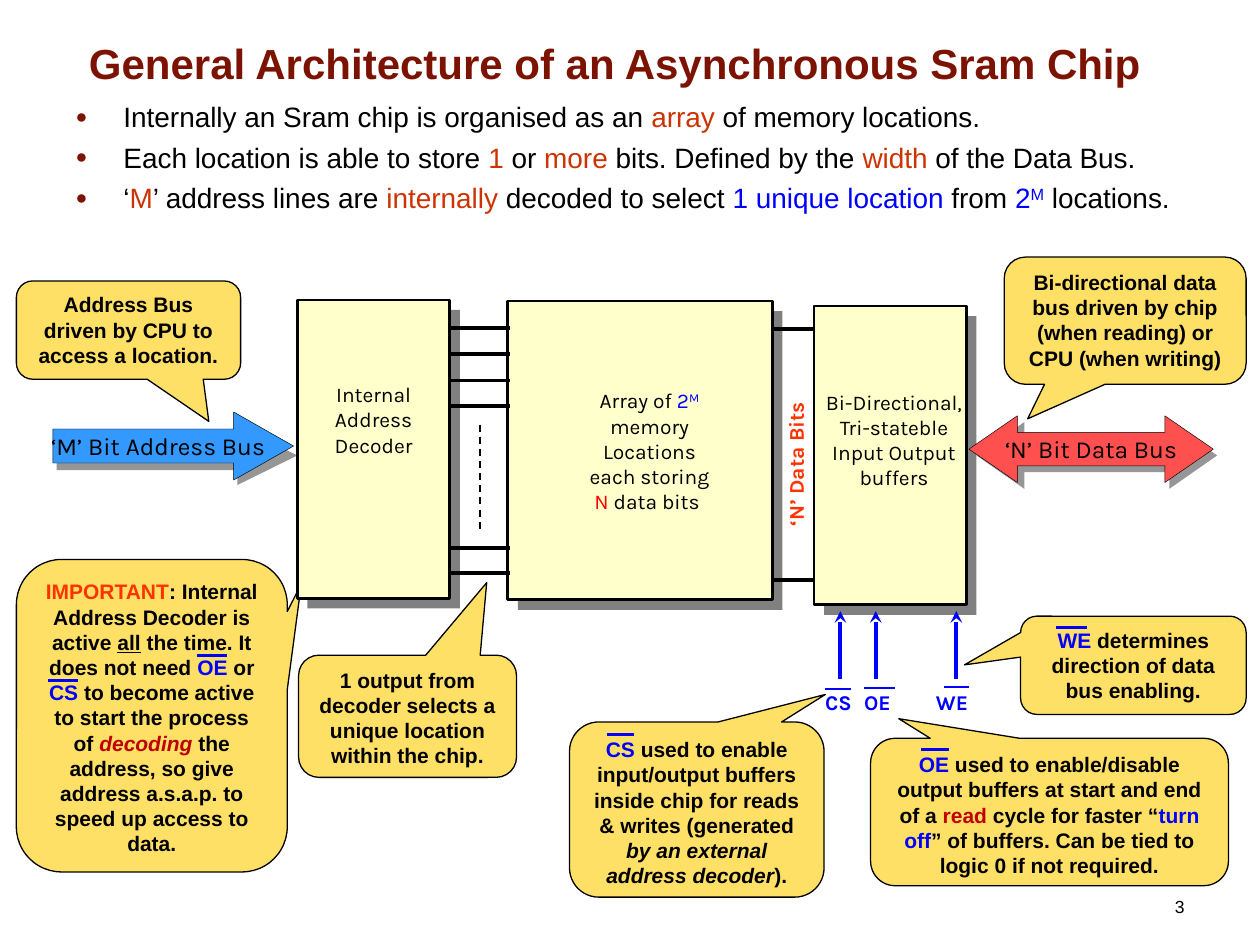
from lxml import etree
from pptx import Presentation
from pptx.dml.color import RGBColor
from pptx.enum.dml import MSO_LINE
from pptx.enum.shapes import MSO_CONNECTOR, MSO_SHAPE
from pptx.enum.text import MSO_ANCHOR, MSO_AUTO_SIZE, PP_ALIGN
from pptx.oxml.ns import qn
from pptx.util import Inches, Pt

STRAIGHT = MSO_CONNECTOR.STRAIGHT
DASH = MSO_LINE.DASH
RECTANGLE = MSO_SHAPE.RECTANGLE
CALLOUT = MSO_SHAPE.ROUNDED_RECTANGULAR_CALLOUT
RIGHT_ARROW = MSO_SHAPE.RIGHT_ARROW
DOUBLE_ARROW = MSO_SHAPE.LEFT_RIGHT_ARROW
TOP, MIDDLE, BOTTOM = MSO_ANCHOR.TOP, MSO_ANCHOR.MIDDLE, MSO_ANCHOR.BOTTOM
LEFT, CENTER, RIGHT = PP_ALIGN.LEFT, PP_ALIGN.CENTER, PP_ALIGN.RIGHT
NO_FIT, GROW = MSO_AUTO_SIZE.NONE, MSO_AUTO_SIZE.SHAPE_TO_FIT_TEXT

COLORS = {
    "black": "000000", "maroon": "7C1302", "rust": "CC3300", "blue": "0000FF",
    "orange": "FF3300", "crimson": "C00000", "red": "FF0000", "gold": "FFCC00",
    "cream": "FFFFCC", "box shadow": "808080", "arrow shadow": "969696",
    "address": "3399FF", "data": "FF5050",
}


def span(text, **text_format):
    return text, text_format


class SlideBuilder:
    heading_font = "Arial"
    diagram_font = "Karla"

    def __init__(self, slide):
        self.slide = slide

    def color(self, name):
        return RGBColor.from_string(COLORS[name])

    def add_run(self, paragraph, text, font="Arial", size=12, color="black",
                bold=False, italic=False, underline=False, baseline=0):
        for index, line in enumerate(text.split("\n")):
            if index:
                paragraph.add_line_break()
            run = paragraph.add_run()
            run.text = line
            run.font.name = font
            run.font.size = Pt(size)
            run.font.bold = bold
            run.font.italic = italic
            run.font.underline = underline
            run.font.color.rgb = self.color(color)
            if baseline:
                run.font._element.set("baseline", str(baseline * 1000))

    def set_text(self, paragraph, spans, align=CENTER, before=0, **base):
        paragraph.alignment = align
        paragraph.space_before = Pt(before)
        for item in spans:
            text, text_format = span(item) if isinstance(item, str) else item
            self.add_run(paragraph, text, **{**base, **text_format})

    def place(self, shape, left, top, width, height):
        shape.left, shape.top = Inches(left), Inches(top)
        shape.width, shape.height = Inches(width), Inches(height)

    def title(self, text, box):
        shape = self.slide.shapes.title
        self.place(shape, *box)
        shape.text_frame.vertical_anchor = BOTTOM
        shape.text_frame.auto_size = NO_FIT
        self.set_text(shape.text_frame.paragraphs[0], [text], font=self.heading_font,
                      size=24, color="maroon", bold=True)

    def bullets(self, items, box):
        shape = self.slide.placeholders[1]
        self.place(shape, *box)
        frame = shape.text_frame
        frame.auto_size = NO_FIT
        for index, spans in enumerate(items):
            paragraph = frame.add_paragraph() if index else frame.paragraphs[0]
            self.set_text(paragraph, spans, align=LEFT, before=4, size=16)
            properties = paragraph._p.get_or_add_pPr()
            properties.set("marL", str(Inches(0.38)))
            properties.set("indent", str(Inches(-0.38)))
            color = etree.SubElement(properties, qn("a:buClr"))
            etree.SubElement(color, qn("a:srgbClr"), val=COLORS["maroon"])
            etree.SubElement(properties, qn("a:buSzPct"), val="70000")
            etree.SubElement(properties, qn("a:buFont"), typeface="Arial")
            etree.SubElement(properties, qn("a:buChar"), char="●")

    def shape(self, kind, box, fill, line_width=0, adjustments=()):
        shape = self.slide.shapes.add_shape(kind, *map(Inches, box))
        shape.shadow.inherit = False
        for index, value in enumerate(adjustments):
            shape.adjustments[index] = value
        shape.fill.solid()
        shape.fill.fore_color.rgb = self.color(fill)
        if line_width:
            shape.line.color.rgb = self.color("black")
            shape.line.width = Pt(line_width)
        else:
            shape.line.fill.background()
        return shape

    def shadowed_box(self, left, top, width):
        height, offset = 2.37, 0.08
        self.shape(RECTANGLE, (left + offset, top + offset, width, height), "box shadow")
        self.shape(RECTANGLE, (left, top, width, height), "cream", 1.5)

    def bus_arrow(self, kind, box, fill, head, text):
        shape = self.shape(kind, box, fill, 0.25, (0.5, head))
        shape.text_frame.word_wrap = False
        shape.text_frame.vertical_anchor = MIDDLE
        self.set_text(shape.text_frame.paragraphs[0], [text], font=self.diagram_font, size=14)

    def callout(self, box, tip, spans):
        shape = self.shape(CALLOUT, box, "gold", 0.75, (*tip, 0.167))
        color = shape._element.spPr.find(qn("a:solidFill")).find(qn("a:srgbClr"))
        etree.SubElement(color, qn("a:alpha"), val="60000")
        shape.text_frame.word_wrap = True
        shape.text_frame.vertical_anchor = TOP
        self.set_text(shape.text_frame.paragraphs[0], spans, bold=True)

    def label(self, box, spans, wrap=True, rotation=0, fit=GROW, **text_format):
        shape = self.slide.shapes.add_textbox(*map(Inches, box))
        shape.rotation = rotation
        shape.text_frame.word_wrap = wrap
        shape.text_frame.auto_size = fit
        self.set_text(shape.text_frame.paragraphs[0], spans,
                      **{"font": self.diagram_font, **text_format})

    def line(self, start, end, width=2.25, color="black", dash=None, arrow=False):
        connector = self.slide.shapes.add_connector(STRAIGHT, *map(Inches, (*start, *end)))
        connector.line.width = Pt(width)
        connector.line.color.rgb = self.color(color)
        if dash:
            connector.line.dash_style = dash
        if arrow:
            outline = connector._element.spPr.find(qn("a:ln"))
            etree.SubElement(outline, qn("a:headEnd"), type="stealth")
        etree.SubElement(connector._element.spPr, qn("a:effectLst"))


def main():
    presentation = Presentation()
    presentation.slide_width, presentation.slide_height = Inches(10), Inches(7.5)
    builder = SlideBuilder(presentation.slides.add_slide(presentation.slide_layouts[1]))

    builder.title("General Architecture of an Asynchronous Sram Chip", (0.43, 0.21, 8.9, 0.54))
    builder.bullets([
        ["Internally an Sram chip is organised as an ", span("array", color="rust"),
         " of memory locations."],
        ["Each location is able to store ", span("1 ", color="rust"), "or",
         span(" more", color="rust"), " bits. Defined by the ",
         span("width", color="rust"), " of the Data Bus."],
        ["‘", span("M", color="rust"), "’ address lines are ",
         span("internally", color="rust"), " decoded to select ",
         span("1 unique location", color="blue"), " from ", span("2", color="blue"),
         span("M", color="blue", baseline=30), " locations."],
    ], (0.5, 0.74, 9.27, 5.96))
    builder.label((7.17, 7.06, 2.33, 0.28), ["3"], fit=NO_FIT, align=RIGHT, font="Arial", size=10)

    builder.shape(DOUBLE_ARROW, (7.75, 3.35, 1.91, 0.53), "arrow shadow", 0, (0.5, 0.716))
    builder.shape(RIGHT_ARROW, (0.45, 3.38, 1.91, 0.47), "arrow shadow", 0, (0.5, 1.013))

    callouts = [
        ((0.13, 4.44, 2.15, 2.48), (0.552, -0.422),
         [span("IMPORTANT", color="orange"), ": Internal Address Decoder is active ",
          span("all", underline=True), " the time. It does not need ",
          span("OE", color="blue"), " or ", span("CS", color="blue"),
          " to become active to start the process of ",
          span("decoding ", color="crimson", italic=True),
          "the address, so give address a.s.a.p. to speed up access to data."]),
        ((8.1, 4.89, 1.79, 0.78), (-0.749, -0.004),
         [span("WE", color="blue"), " determines direction of data bus enabling."]),
        ((4.52, 5.73, 2.02, 1.39), (0.505, -0.657),
         [span("CS", color="blue"),
          " used to enable input/output buffers inside chip for reads & writes (generated ",
          span("by an external address decoder", italic=True), ")."]),
        ((7.97, 2.04, 1.92, 1.01), (-0.403, 0.771),
         ["Bi-directional data bus driven by chip (when reading) or CPU (when writing)"]),
        ((0.13, 2.23, 1.78, 0.78), (0.358, 0.929),
         ["Address Bus driven by CPU to access a location."]),
        ((2.37, 5.2, 1.73, 0.97), (0.363, -1.093),
         ["1 output from decoder selects a unique location within the chip."]),
        ((6.91, 5.86, 2.84, 1.17), (-0.421, -0.633),
         [span("OE", color="blue"), " used to enable/disable output buffers at start and end of a ",
          span("read", color="crimson"), " cycle for faster “", span("turn off", color="blue"),
          "” of buffers. Can be tied to logic 0 if not required."]),
    ]
    for callout in callouts:
        builder.callout(*callout)

    for box in [(4.03, 2.39, 2.1), (6.46, 2.43, 1.21), (2.36, 2.38, 1.21)]:
        builder.shadowed_box(*box)
    builder.label((6.45, 3.04, 1.29, 1.1),
                  ["Bi-Directional,\nTri-stateble Input Output buffers"], before=7.5)
    builder.label((4.51, 3.03, 1.29, 1.1),
                  ["Array of ", span("2", color="blue"), span("M", color="blue", baseline=30),
                   " memory Locations each storing ", span("N", color="red"), " data bits "],
                  before=7.5)
    builder.label((2.32, 2.98, 1.29, 0.7), ["Internal Address\nDecoder"], before=7.5)
    builder.label((5.71, 3.52, 1.21, 0.3), ["‘N’ Data Bits"], wrap=False, rotation=270,
                  align=LEFT, color="orange", bold=True)

    builder.bus_arrow(DOUBLE_ARROW, (7.69, 3.3, 1.94, 0.53), "data", 0.726, "‘N’ Bit Data Bus")
    builder.bus_arrow(RIGHT_ARROW, (0.42, 3.27, 1.91, 0.54), "address", 0.88, "‘M’ Bit Address Bus")

    for y in (2.6, 2.81, 3.02, 3.22, 4.35, 4.55):
        builder.line((3.58, y), (4.05, y))
    for y in (2.61, 4.6):
        builder.line((6.12, y), (6.46, y))
    builder.line((3.81, 3.37), (3.81, 4.21), width=1, dash=DASH)

    for name, arrow_x, left, width, bar_left, bar_right, bar_y in [
        ("CS", 6.67, 6.45, 0.43, 6.55, 6.75, 5.47),
        ("OE", 6.95, 6.76, 0.42, 6.86, 7.1, 5.46),
        ("WE", 7.59, 7.33, 0.68, 7.49, 7.69, 5.45),
    ]:
        builder.line((arrow_x, 4.85), (arrow_x, 5.39), color="blue", arrow=True)
        builder.label((left, 5.42, width, 0.3), [name], align=LEFT, before=7.5,
                      color="blue", bold=True)
        builder.line((bar_left, bar_y), (bar_right, bar_y), width=1, color="blue")
    for left, right, y in [(8.38, 8.63, 4.98), (4.82, 5.03, 5.83), (7.31, 7.53, 5.95),
                           (0.38, 0.62, 5.4), (1.56, 1.8, 5.2)]:
        builder.line((left, y), (right, y), width=1.5, color="blue")

    presentation.save("out.pptx")


if __name__ == "__main__":
    main()
